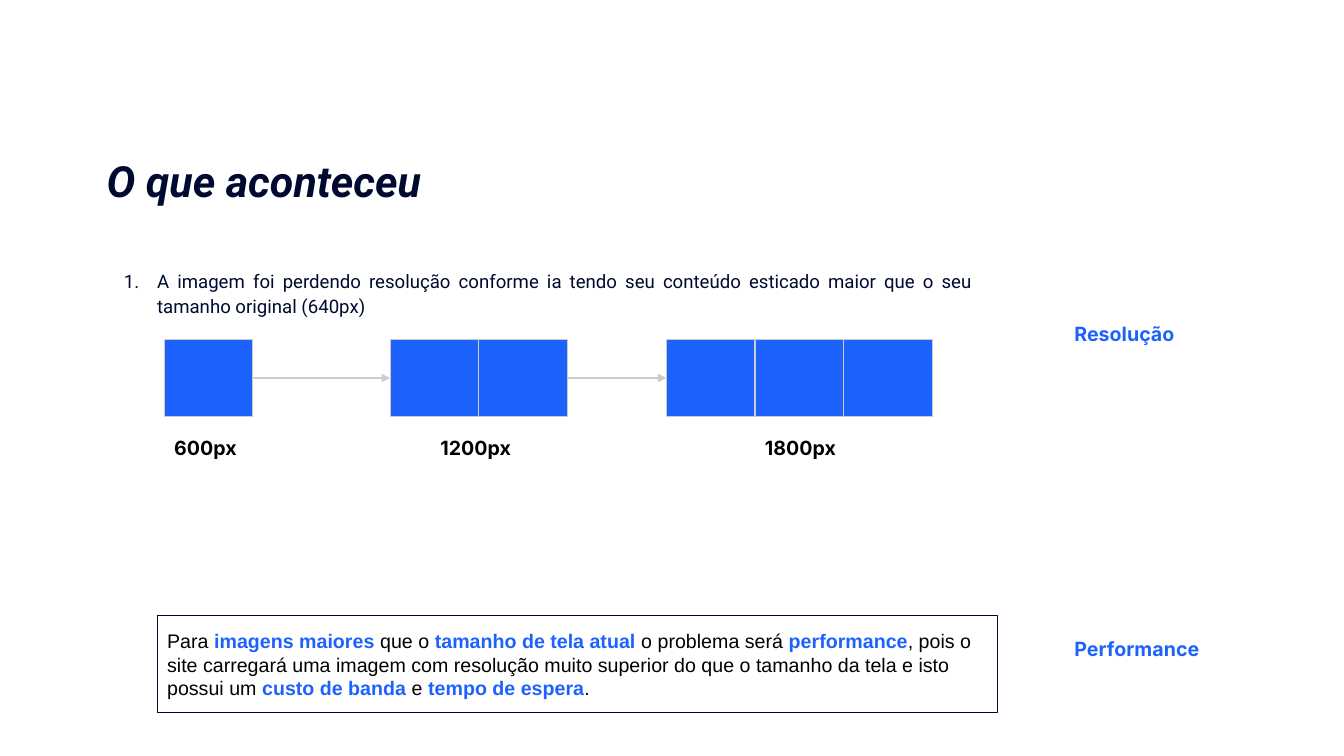
from dataclasses import dataclass

from lxml import etree
from pptx import Presentation
from pptx.dml.color import RGBColor
from pptx.enum.shapes import MSO_CONNECTOR, MSO_SHAPE
from pptx.enum.text import MSO_ANCHOR, MSO_AUTO_SIZE, PP_ALIGN
from pptx.oxml.ns import qn
from pptx.shapes.autoshape import Shape
from pptx.slide import Slide
from pptx.text.text import TextFrame, _Paragraph
from pptx.util import Pt

RECTANGLE = MSO_SHAPE.RECTANGLE
STRAIGHT = MSO_CONNECTOR.STRAIGHT
TOP, MIDDLE = MSO_ANCHOR.TOP, MSO_ANCHOR.MIDDLE
LEFT, JUSTIFY = PP_ALIGN.LEFT, PP_ALIGN.JUSTIFY
GROW, FIXED = MSO_AUTO_SIZE.SHAPE_TO_FIT_TEXT, MSO_AUTO_SIZE.NONE
LEFT_SIDE, RIGHT_SIDE = 1, 3


@dataclass(frozen=True)
class Theme:
    navy: str = "000A30"
    blue: str = "1E62FE"
    black: str = "000000"
    grey: str = "CCCCCC"
    heading_font: str = "Roboto"
    label_font: str = "Inter"
    note_font: str = "Arial"
    title_size: float = 30.7
    item_size: float = 13.3
    label_size: float = 14
    line_width: float = 0.75
    inset: float = 7.2


THEME = Theme()


@dataclass(frozen=True)
class Box:
    left: float
    top: float
    width: float
    height: float

    def lengths(self) -> tuple[Pt, Pt, Pt, Pt]:
        return Pt(self.left), Pt(self.top), Pt(self.width), Pt(self.height)


@dataclass(frozen=True)
class Style:
    font: str
    size: float
    color: str
    bold: bool = False
    italic: bool = False


@dataclass(frozen=True)
class Stage:
    """A stretched image: a row of blocks with its pixel width below."""
    left: float
    blocks: int
    caption: str
    caption_left: float
    caption_width: float


@dataclass(frozen=True)
class Label:
    text: str
    box: Box
    color: str


BLOCK_WIDTH, BLOCK_HEIGHT, BLOCK_TOP = 63.36, 54.72, 242.64
CAPTION_TOP, LABEL_HEIGHT = 303.84, 31.68
SIDE_LEFT = 760.32

STAGES = [
    Stage(117.36, 1, "600px", 117.36, 63.36),
    Stage(278.64, 2, "1200px", 307.44, 70.56),
    Stage(475.92, 3, "1800px", 539.28, 70.56),
]
LABELS = [
    Label(stage.caption,
          Box(stage.caption_left, CAPTION_TOP, stage.caption_width, LABEL_HEIGHT),
          THEME.black)
    for stage in STAGES
] + [
    Label("Resolução", Box(SIDE_LEFT, 222.48, 128.88, LABEL_HEIGHT), THEME.blue),
    Label("Performance", Box(SIDE_LEFT, 447.84, 199, LABEL_HEIGHT), THEME.blue),
]

TITLE_STYLE = Style(THEME.heading_font, THEME.title_size, THEME.navy, True, True)
ITEM_STYLE = Style(THEME.heading_font, THEME.item_size, THEME.navy)
NOTE_STYLE = Style(THEME.note_font, THEME.label_size, THEME.black)
STRONG_STYLE = Style(THEME.note_font, THEME.label_size, THEME.blue, True)

NOTE = [
    ("Para ", NOTE_STYLE),
    ("imagens maiores", STRONG_STYLE),
    (" que o ", NOTE_STYLE),
    ("tamanho de tela atual", STRONG_STYLE),
    (" o problema será ", NOTE_STYLE),
    ("performance", STRONG_STYLE),
    (", pois o site carregará uma imagem com resolução muito superior do que "
     "o tamanho da tela e isto possui um", NOTE_STYLE),
    (" custo de banda", STRONG_STYLE),
    (" e ", NOTE_STYLE),
    ("tempo de espera", STRONG_STYLE),
    (".", NOTE_STYLE),
]


def format_frame(frame: TextFrame, anchor: MSO_ANCHOR, auto_size: MSO_AUTO_SIZE) -> None:
    inset = Pt(THEME.inset)
    values = {
        "margin_left": inset, "margin_top": inset,
        "margin_right": inset, "margin_bottom": inset,
        "word_wrap": True, "vertical_anchor": anchor, "auto_size": auto_size,
    }
    for name, value in values.items():
        setattr(frame, name, value)


def add_run(paragraph: _Paragraph, text: str, style: Style) -> None:
    run = paragraph.add_run()
    run.text = text
    values = {"name": style.font, "size": Pt(style.size),
              "bold": style.bold, "italic": style.italic}
    for name, value in values.items():
        setattr(run.font, name, value)
    run.font.color.rgb = RGBColor.from_string(style.color)


def add_text(slide: Slide, box: Box, text: str, style: Style,
             auto_size: MSO_AUTO_SIZE = FIXED) -> _Paragraph:
    frame = slide.shapes.add_textbox(*box.lengths()).text_frame
    format_frame(frame, TOP, auto_size)
    paragraph = frame.paragraphs[0]
    add_run(paragraph, text, style)
    return paragraph


def number_item(paragraph: _Paragraph) -> None:
    """Give the paragraph a hanging arabic number in the text colour."""
    properties = paragraph._p.get_or_add_pPr()
    properties.set("marL", str(Pt(36)))
    properties.set("indent", str(Pt(-23.76)))
    color = etree.SubElement(properties, qn("a:buClr"))
    etree.SubElement(color, qn("a:srgbClr"), val=THEME.navy)
    etree.SubElement(properties, qn("a:buFont"), typeface=THEME.heading_font)
    etree.SubElement(properties, qn("a:buAutoNum"), type="arabicPeriod")
    paragraph.alignment = JUSTIFY
    paragraph.line_spacing = 1.15


def add_rectangle(slide: Slide, box: Box, line: str, fill: str | None = None) -> Shape:
    rectangle = slide.shapes.add_shape(RECTANGLE, *box.lengths())
    rectangle.shadow.inherit = False
    if fill:
        rectangle.fill.solid()
        rectangle.fill.fore_color.rgb = RGBColor.from_string(fill)
    else:
        rectangle.fill.background()
    rectangle.line.color.rgb = RGBColor.from_string(line)
    rectangle.line.width = Pt(THEME.line_width)
    return rectangle


def add_stage(slide: Slide, stage: Stage) -> list[Shape]:
    return [
        add_rectangle(slide, Box(stage.left + index * BLOCK_WIDTH, BLOCK_TOP,
                                 BLOCK_WIDTH, BLOCK_HEIGHT), THEME.grey, THEME.blue)
        for index in range(stage.blocks)
    ]


def add_arrow(slide: Slide, source: Shape, target: Shape) -> None:
    arrow = slide.shapes.add_connector(STRAIGHT, 0, 0, 0, 0)
    arrow.begin_connect(source, RIGHT_SIDE)
    arrow.end_connect(target, LEFT_SIDE)
    arrow.line.color.rgb = RGBColor.from_string(THEME.grey)
    arrow.line.width = Pt(THEME.line_width)
    etree.SubElement(arrow.line._get_or_add_ln(), qn("a:tailEnd"), type="triangle")
    etree.SubElement(arrow._element.spPr, qn("a:effectLst"))


def main() -> None:
    presentation = Presentation()
    presentation.slide_width, presentation.slide_height = Pt(960), Pt(540)
    slide = presentation.slides.add_slide(presentation.slide_layouts[6])

    item = add_text(slide, Box(69.12, 182.88, 632.88, 195.84),
                    "A imagem foi perdendo resolução conforme ia tendo seu conteúdo "
                    "esticado maior que o seu tamanho original (640px)", ITEM_STYLE)
    number_item(item)
    add_text(slide, Box(69.12, 102.96, 614.88, 59.76), "O que aconteceu", TITLE_STYLE)

    rows = [add_stage(slide, stage) for stage in STAGES]
    for row, next_row in zip(rows, rows[1:]):
        add_arrow(slide, row[-1], next_row[0])
    for label in LABELS:
        style = Style(THEME.label_font, THEME.label_size, label.color, True)
        add_text(slide, label.box, label.text, style, GROW)

    note = add_rectangle(slide, Box(112.32, 439.92, 600.48, 69.12), THEME.navy).text_frame
    format_frame(note, MIDDLE, FIXED)
    note.paragraphs[0].alignment = LEFT
    for text, style in NOTE:
        add_run(note.paragraphs[0], text, style)

    presentation.save("out.pptx")


if __name__ == "__main__":
    main()
